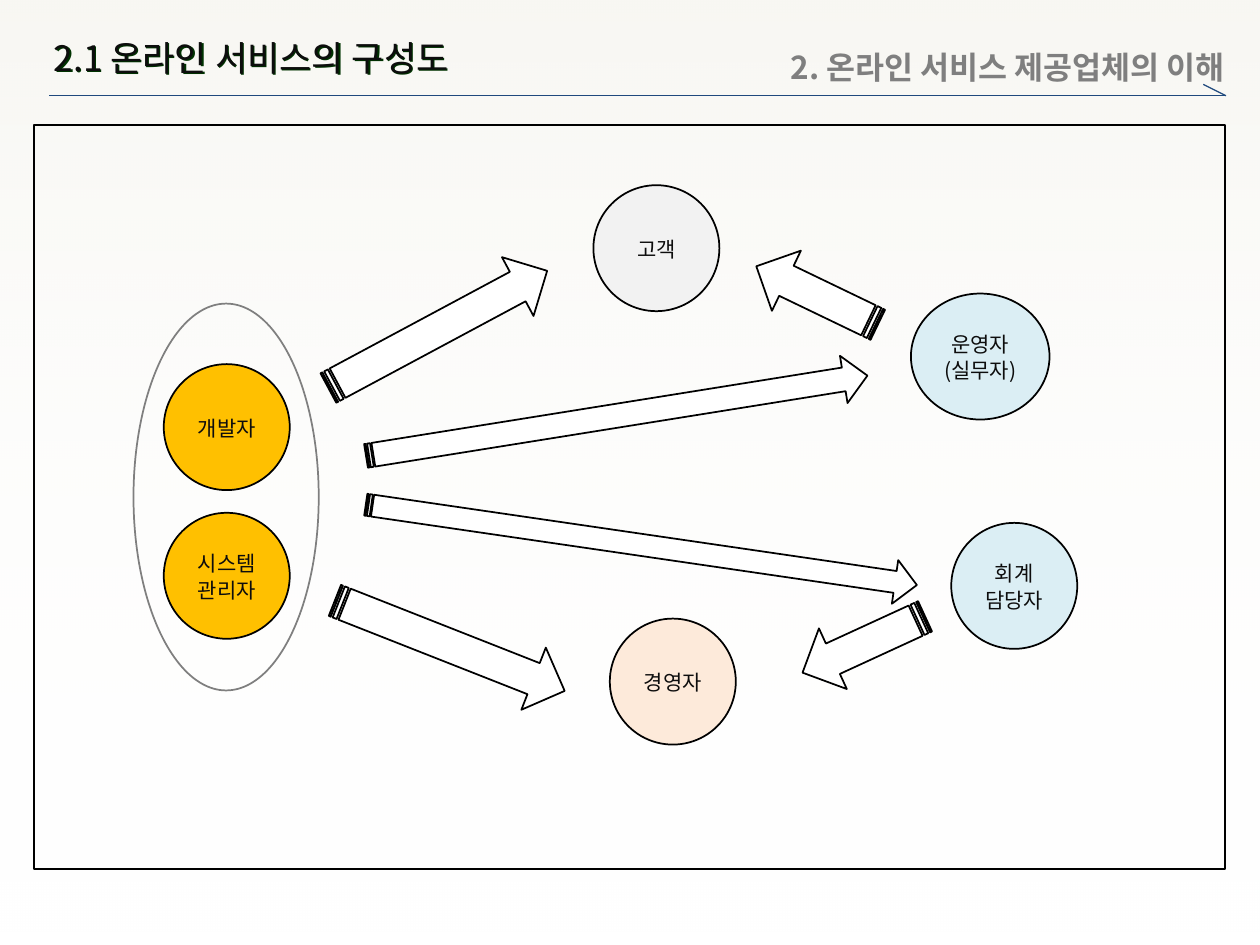
"""Builds the slide showing who takes part in an online service."""
from lxml.etree import SubElement
from pptx import Presentation
from pptx.dml.color import RGBColor
from pptx.enum.shapes import MSO_CONNECTOR, MSO_SHAPE
from pptx.enum.text import MSO_ANCHOR, PP_ALIGN
from pptx.oxml.ns import qn
from pptx.util import Inches, Pt

FONT = "Noto Sans CJK KR"
COLORS = {
    "cream": "EEECE1", "white": "FFFFFF", "black": "000000", "ink": "0D0D0D",
    "navy": "1F497D", "gray": "7F7F7F", "amber": "FFC000", "silver": "F2F2F2",
    "peach": "FDEADA", "sky": "DBEEF4", "green": "003300",
}


def add_figure(kind, left, top, width, height, fill=None, line="black"):
    shape = slide.shapes.add_shape(kind, Inches(left), Inches(top), Inches(width), Inches(height))
    shape.shadow.inherit = False
    if fill:
        shape.fill.solid()
        shape.fill.fore_color.rgb = RGBColor.from_string(COLORS[fill])
    else:
        shape.fill.background()
    shape.line.color.rgb = RGBColor.from_string(COLORS[line])
    shape.line.width = Pt(1)
    return shape


def write_text(shape, text, size, color, align, bold=False):
    shape.text_frame.text = text
    paragraph = shape.text_frame.paragraphs[0]
    paragraph.alignment = align
    font = paragraph.runs[0].font
    font.name = FONT
    font.size = Pt(size)
    font.bold = bold
    font.color.rgb = RGBColor.from_string(COLORS[color])
    SubElement(font._element, qn("a:ea"), typeface=FONT)
    return paragraph


presentation = Presentation()
presentation.slide_width = Inches(10)
presentation.slide_height = Inches(7.5)
slide = presentation.slides.add_slide(presentation.slide_layouts[6])

backdrop = add_figure(MSO_SHAPE.RECTANGLE, 0, 0, 10, 7.5)
backdrop.line.fill.background()
backdrop.fill.gradient()
backdrop.fill.gradient_angle = 270
for stop, color, alpha in zip(backdrop.fill.gradient_stops, ("cream", "white"), (40000, 0)):
    stop.color.rgb = RGBColor.from_string(COLORS[color])
    stop_color = stop._gs.find(qn("a:srgbClr"))
    SubElement(stop_color, qn("a:alpha"), val=str(alpha))

for start_x, start_y in ((0.39, 0.76), (9.55, 0.67)):
    rule = slide.shapes.add_connector(
        MSO_CONNECTOR.STRAIGHT, Inches(start_x), Inches(start_y), Inches(9.73), Inches(0.76))
    rule.line.color.rgb = RGBColor.from_string(COLORS["navy"])
    rule.line.width = Pt(0.75)
    SubElement(rule._element.spPr, qn("a:effectLst"))

add_figure(MSO_SHAPE.RECTANGLE, 0.27, 0.99, 9.45, 5.91)
add_figure(MSO_SHAPE.OVAL, 1.06, 2.41, 1.47, 3.07, line="gray")

roles = [
    ("개발자", 1.3, 2.89, 1, "amber"),
    ("시스템관리자", 1.3, 4.07, 1, "amber"),
    ("고객", 4.71, 1.47, 1, "silver"),
    ("경영자", 4.84, 4.91, 1, "peach"),
    ("운영자(실무자)", 7.23, 2.33, 1.1, "sky"),
    ("회계 담당자", 7.55, 4.15, 1, "sky"),
]
for role, left, top, width, fill in roles:
    circle = add_figure(MSO_SHAPE.OVAL, left, top, width, 1, fill)
    circle.text_frame.word_wrap = True
    circle.text_frame.vertical_anchor = MSO_ANCHOR.MIDDLE
    write_text(circle, role, 12, "ink", PP_ALIGN.CENTER).line_spacing = 1.05

arrows = [
    (2.49, 2.35, 1.97, 0.53, 331.8),
    (2.59, 4.86, 1.96, 0.53, 21.5),
    (6.32, 4.85, 1.07, 0.53, 155.3),
    (5.95, 2.08, 1.07, 0.53, 205.7),
    (2.88, 3.11, 4.03, 0.38, 350.9),
    (2.88, 4.15, 4.42, 0.35, 8.3),
]
for left, top, width, height, rotation in arrows:
    arrow = add_figure(MSO_SHAPE.STRIPED_RIGHT_ARROW, left, top, width, height, "white")
    arrow.rotation = rotation

title = slide.shapes.add_textbox(Inches(0.33), Inches(0.24), Inches(3.65), Inches(0.44))
title.text_frame.word_wrap = False
write_text(title, "2.1 온라인 서비스의 구성도", 20, "ink", PP_ALIGN.LEFT)
effects = SubElement(title._element.spPr, qn("a:effectLst"))
shadow = SubElement(effects, qn("a:outerShdw"), dist="12700", dir="2700000", algn="tl")
SubElement(shadow, qn("a:srgbClr"), val=COLORS["green"])

chapter = slide.shapes.add_textbox(Inches(5.93), Inches(0.38), Inches(3.95), Inches(0.3))
frame = chapter.text_frame
frame.word_wrap = False
frame.margin_left = frame.margin_top = frame.margin_bottom = 0
frame.margin_right = Inches(0.16)
write_text(chapter, "2. 온라인 서비스 제공업체의 이해", 18, "gray", PP_ALIGN.RIGHT, bold=True)

presentation.save("out.pptx")
